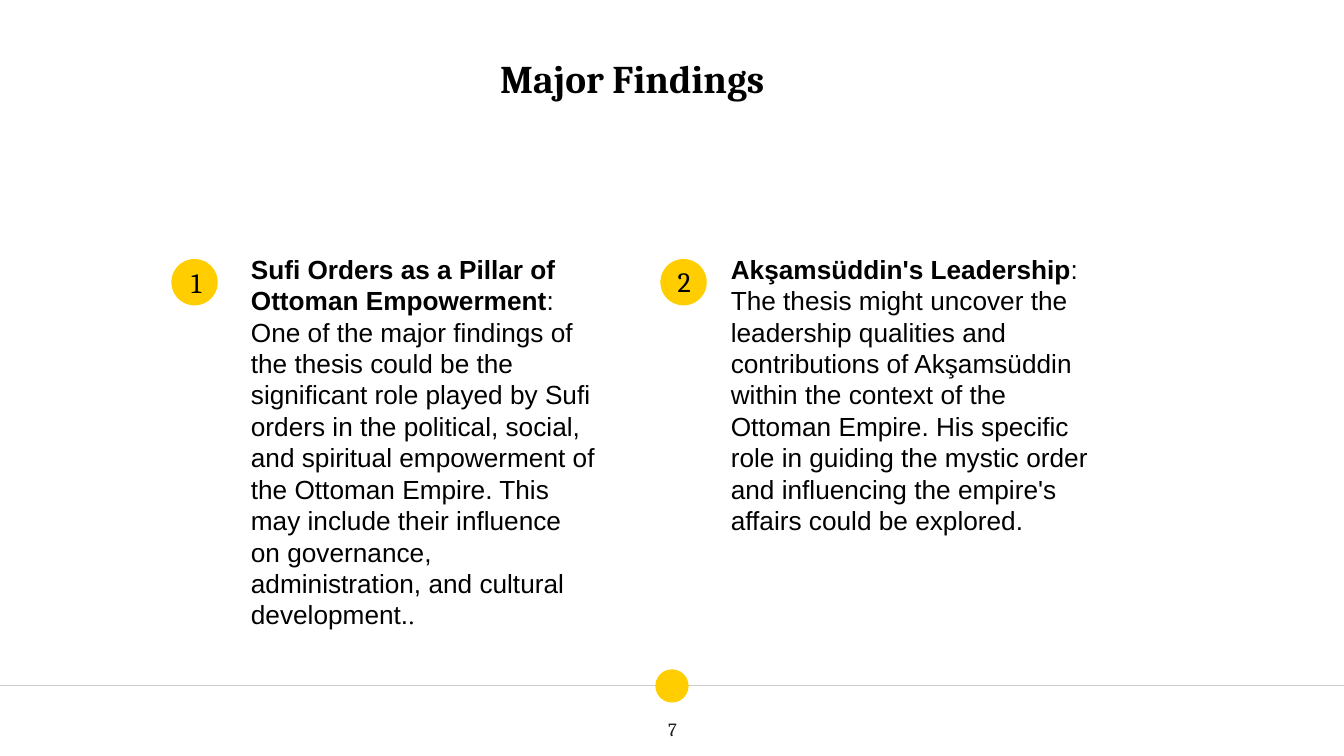
from pptx import Presentation
from pptx import util as u
from pptx.dml.color import RGBColor
from pptx.enum import shapes, text
from pptx.oxml.ns import qn
from lxml import etree

YELLOW = RGBColor(0xFF, 0xCD, 0x00)
GREY = RGBColor(0xCC, 0xCC, 0xCC)
BLACK = RGBColor(0, 0, 0)
CHARCOAL = RGBColor(0x1D, 0x1D, 0x1B)
WIDTH, HEIGHT = 13.33, 7.5
RULE_Y = 6.8
HEAD, BODY = "Cambria", "Arial"


class Deck:
    inset = u.Inches(0.1)

    def __init__(self, slide):
        self.s = slide

    def rule(self, y):
        sp = self.s.shapes.add_connector(
            shapes.MSO_CONNECTOR.STRAIGHT,
            u.Inches(0), u.Inches(y), u.Inches(WIDTH), u.Inches(y))
        sp.line.color.rgb = GREY
        sp.line.width = u.Pt(0.75)
        etree.SubElement(sp._element.spPr, qn("a:effectLst"))

    def dot(self, x, y, size):
        sp = self.s.shapes.add_shape(
            shapes.MSO_SHAPE.OVAL, *map(u.Inches, (x, y, size, size)))
        sp.shadow.inherit = False
        sp.fill.solid()
        sp.fill.fore_color.rgb = YELLOW
        sp.line.fill.background()

    def text(self, box, runs, centred=True, before=0, color=BLACK):
        """Add one paragraph; each run is (words, font, size, bold)."""
        tf = self.s.shapes.add_textbox(*map(u.Inches, box)).text_frame
        tf.word_wrap = True
        tf.margin_left = tf.margin_right = self.inset
        tf.margin_top = tf.margin_bottom = self.inset
        tf.vertical_anchor = text.MSO_ANCHOR.MIDDLE if centred else text.MSO_ANCHOR.TOP
        p = tf.paragraphs[0]
        p.alignment = text.PP_ALIGN.CENTER if centred else text.PP_ALIGN.LEFT
        p.space_before = u.Pt(before)
        for words, font, size, bold in runs:
            r = p.add_run()
            r.text = words
            r.font.name = font
            r.font.size = u.Pt(size)
            r.font.bold = bold
            r.font.color.rgb = color

    def finding(self, number, dot_x, label_at, body_box, runs):
        self.text(body_box, runs, centred=False, before=6)
        self.dot(dot_x, 2.57, 0.46)
        self.text((*label_at, 0.59, 0.61), [(str(number), HEAD, 20, False)])


def main():
    prs = Presentation()
    prs.slide_width, prs.slide_height = u.Inches(WIDTH), u.Inches(HEIGHT)
    deck = Deck(prs.slides.add_slide(prs.slide_layouts[6]))

    deck.rule(RULE_Y)
    deck.dot(6.5, 6.64, 0.33)
    deck.text((6.27, 6.97, 0.8, 0.53), [("7", HEAD, 13.3, False)], color=CHARCOAL)
    deck.text((3.44, 0.46, 5.66, 0.63), [("Major Findings", HEAD, 28, True)])

    deck.finding(1, 1.7, (1.65, 2.5), (2.39, 2.41, 3.61, 4.21), [
        ("Sufi Orders as a Pillar of Ottoman Empowerment", BODY, 18.7, True),
        (": One of the major findings of the thesis could be the significant role "
         "played by Sufi orders in the political, social, and spiritual empowerment "
         "of the Ottoman Empire. This may include their influence on governance, "
         "administration, and cultural development.", BODY, 18.7, False),
        (".", "Times New Roman", 18, False),
    ])
    deck.finding(2, 6.55, (6.49, 2.49), (7.15, 2.41, 3.79, 4.01), [
        ("Akşamsüddin's Leadership", BODY, 18.7, True),
        (": The thesis might uncover the leadership qualities and contributions of "
         "Akşamsüddin within the context of the Ottoman Empire. His specific role in "
         "guiding the mystic order and influencing the empire's affairs could be "
         "explored.", BODY, 18.7, False),
    ])
    prs.save("out.pptx")


if __name__ == "__main__":
    main()
